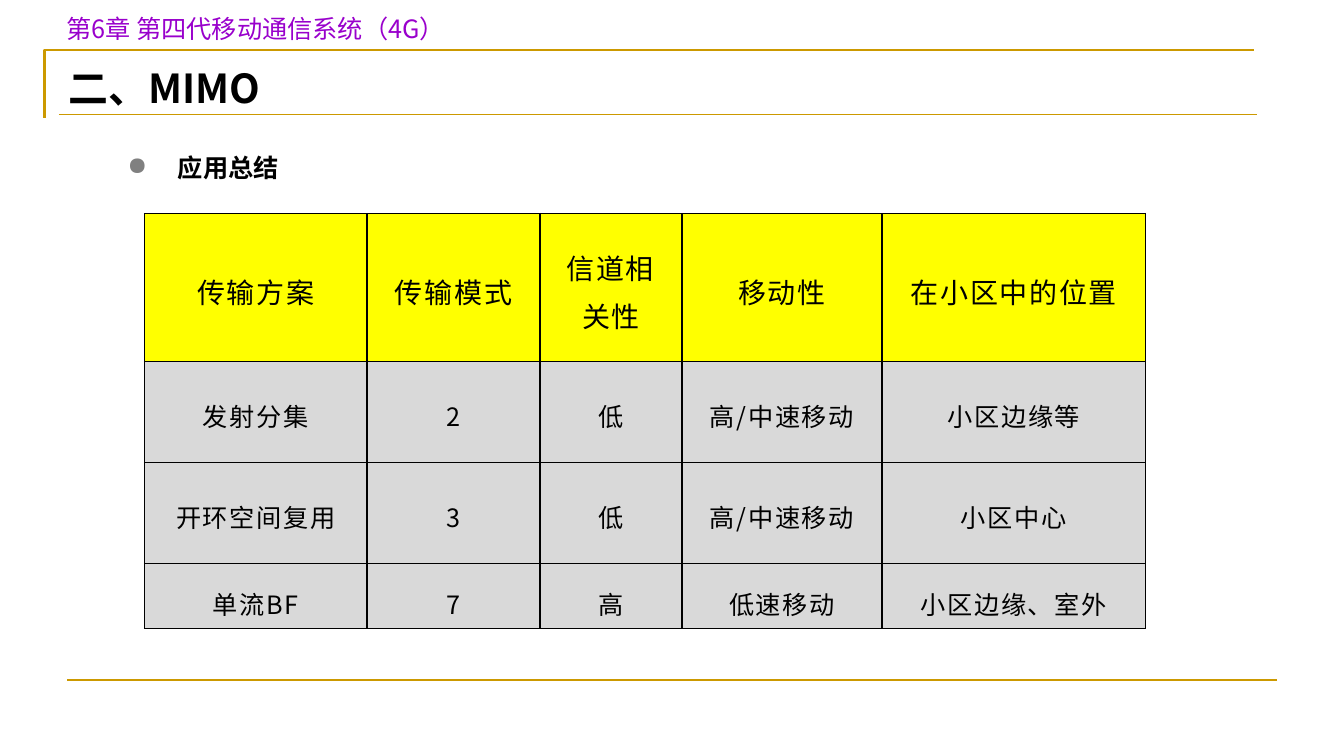
from dataclasses import dataclass

from lxml import etree
from pptx import Presentation
from pptx.dml.color import RGBColor
from pptx.enum.shapes import MSO_CONNECTOR
from pptx.enum.text import MSO_ANCHOR, PP_ALIGN
from pptx.oxml.ns import qn
from pptx.util import Inches, Pt

GOLD = RGBColor(0xCC, 0x99, 0x00)
PURPLE = RGBColor(0x99, 0x00, 0xCC)
BLACK = RGBColor(0, 0, 0)
YELLOW = RGBColor(0xFF, 0xFF, 0)
LIGHT_GRAY = RGBColor(0xD9, 0xD9, 0xD9)
CENTER = PP_ALIGN.CENTER
LEFT = PP_ALIGN.LEFT
MIDDLE = MSO_ANCHOR.MIDDLE
TOP = MSO_ANCHOR.TOP
STRAIGHT = MSO_CONNECTOR.STRAIGHT

SANS_SC = "Noto Sans CJK SC"
SANS_JP = "Noto Sans CJK JP"
SLIDE_WIDTH = Inches(13.33)
SLIDE_HEIGHT = Inches(7.5)
GRID_COLUMNS = 160
GRID_ROWS = 90

COLUMN_SPANS = (26.5, 20.6, 16.9, 23.8, 31.4)
ROW_SPANS = (17.6, 11.9, 11.9, 7.8)
SCHEMES = (
    ("传输方案", "传输模式", "信道相关性", "移动性", "在小区中的位置"),
    ("发射分集", "2", "低", "高/中速移动", "小区边缘等"),
    ("开环空间复用", "3", "低", "高/中速移动", "小区中心"),
    ("单流BF", "7", "高", "低速移动", "小区边缘、室外"),
)


@dataclass(frozen=True)
class Area:
    column: float
    row: float
    columns: float
    rows: float

    def box(self) -> tuple[int, int, int, int]:
        return across(self.column), down(self.row), across(self.columns), down(self.rows)


@dataclass(frozen=True)
class Rule:
    start: float
    end: float
    row: float
    weight: float


@dataclass(frozen=True)
class Style:
    size: float
    font: str = SANS_SC
    color: RGBColor = BLACK
    bold: bool = False
    line_spacing: float = 1.0
    tracking: int = 0
    align: PP_ALIGN = LEFT


RULES = (Rule(8, 152, 81, 1.5), Rule(7, 149.6, 13.6, 0.25))
CHAPTER_AREA = Area(6.7, 1, 69.4, 4.8)
TITLE_AREA = Area(7, 5.8, 105.6, 8)
SUMMARY_AREA = Area(8, 14, 100.4, 7.3)
TABLE_AREA = Area(17.2, 25.4, sum(COLUMN_SPANS), sum(ROW_SPANS))
CHAPTER_STYLE = Style(18, SANS_JP, PURPLE)
TITLE_STYLE = Style(28.5, bold=True, line_spacing=1.2)
SUMMARY_STYLE = Style(18, bold=True, line_spacing=2.0)
HEADING_STYLE = Style(20, line_spacing=1.2, tracking=120, align=CENTER)
BODY_STYLE = Style(18, line_spacing=1.2, tracking=120, align=CENTER)


def across(columns: float) -> int:
    return round(SLIDE_WIDTH * columns / GRID_COLUMNS)


def down(rows: float) -> int:
    return round(SLIDE_HEIGHT * rows / GRID_ROWS)


def write(frame, text: str, style: Style) -> None:
    frame.text = text
    frame.word_wrap = True
    paragraph = frame.paragraphs[0]
    paragraph.alignment = style.align
    paragraph.line_spacing = style.line_spacing
    for run in paragraph.runs:
        run.font.size = Pt(style.size)
        run.font.bold = style.bold
        run.font.name = style.font
        run.font.color.rgb = style.color
        properties = run.font._element
        etree.SubElement(properties, qn("a:ea"), typeface=style.font)
        if style.tracking:
            properties.set("spc", str(style.tracking))


def add_text(slide, area: Area, text: str, style: Style):
    frame = slide.shapes.add_textbox(*area.box()).text_frame
    write(frame, text, style)
    return frame


def add_bullet(frame) -> None:
    properties = frame.paragraphs[0]._p.get_or_add_pPr()
    properties.set("marL", str(across(12)))
    properties.set("indent", str(-across(6)))
    color = etree.SubElement(properties, qn("a:buClr"))
    etree.SubElement(color, qn("a:srgbClr"), val="808080")
    etree.SubElement(properties, qn("a:buChar"), char="●")


def add_rule(slide, rule: Rule) -> None:
    line = slide.shapes.add_connector(
        STRAIGHT, across(rule.start), down(rule.row), across(rule.end), down(rule.row)
    )
    line.line.color.rgb = GOLD
    line.line.width = Pt(rule.weight)
    etree.SubElement(line._element.spPr, qn("a:effectLst"))


def add_title_corner(slide) -> None:
    builder = slide.shapes.build_freeform(across(5.3), down(14))
    builder.add_line_segments(
        [(across(5.3), down(6)), (across(149.3), down(6))], close=False
    )
    corner = builder.convert_to_shape()
    corner.shadow.inherit = False
    corner.fill.background()
    corner.line.color.rgb = GOLD
    corner.line.width = Pt(1.5)


def outline_cell(cell) -> None:
    properties = cell._tc.get_or_add_tcPr()
    for position, side in enumerate(("lnL", "lnR", "lnT", "lnB")):
        border = etree.Element(qn(f"a:{side}"), w=str(Pt(1)))
        fill = etree.SubElement(border, qn("a:solidFill"))
        etree.SubElement(fill, qn("a:srgbClr"), val=str(BLACK))
        properties.insert(position, border)


def add_scheme_table(slide) -> None:
    table = slide.shapes.add_table(
        len(ROW_SPANS), len(COLUMN_SPANS), *TABLE_AREA.box()
    ).table
    for column, span in zip(table.columns, COLUMN_SPANS):
        column.width = across(span)
    for row, span in zip(table.rows, ROW_SPANS):
        row.height = down(span)
    for row_index, scheme in enumerate(SCHEMES):
        is_heading = row_index == 0
        for column_index, text in enumerate(scheme):
            cell = table.cell(row_index, column_index)
            cell.fill.solid()
            cell.fill.fore_color.rgb = YELLOW if is_heading else LIGHT_GRAY
            cell.vertical_anchor = MIDDLE
            cell.margin_left = cell.margin_right = across(2.8)
            cell.margin_top = cell.margin_bottom = down(1.7)
            write(cell.text_frame, text, HEADING_STYLE if is_heading else BODY_STYLE)
            outline_cell(cell)


def main() -> None:
    presentation = Presentation()
    presentation.slide_width = SLIDE_WIDTH
    presentation.slide_height = SLIDE_HEIGHT
    slide = presentation.slides.add_slide(presentation.slide_layouts[5])

    title = slide.shapes.title
    title.left, title.top, title.width, title.height = TITLE_AREA.box()
    write(title.text_frame, "二、MIMO", TITLE_STYLE)
    title.text_frame.vertical_anchor = TOP

    add_title_corner(slide)
    for rule in RULES:
        add_rule(slide, rule)
    add_text(slide, CHAPTER_AREA, "第6章 第四代移动通信系统（4G）", CHAPTER_STYLE)
    add_scheme_table(slide)
    add_bullet(add_text(slide, SUMMARY_AREA, "应用总结", SUMMARY_STYLE))
    presentation.save("out.pptx")


if __name__ == "__main__":
    main()
